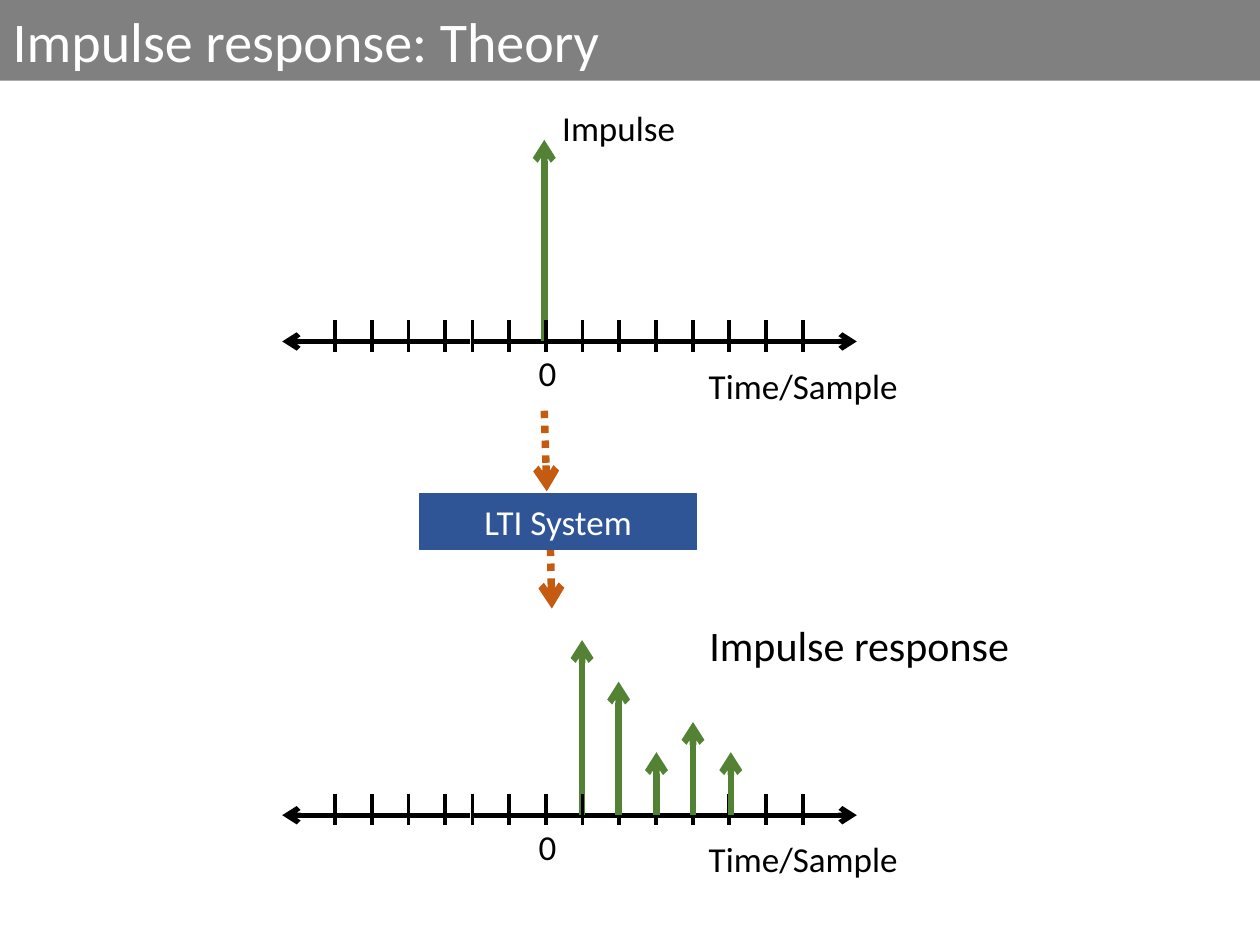
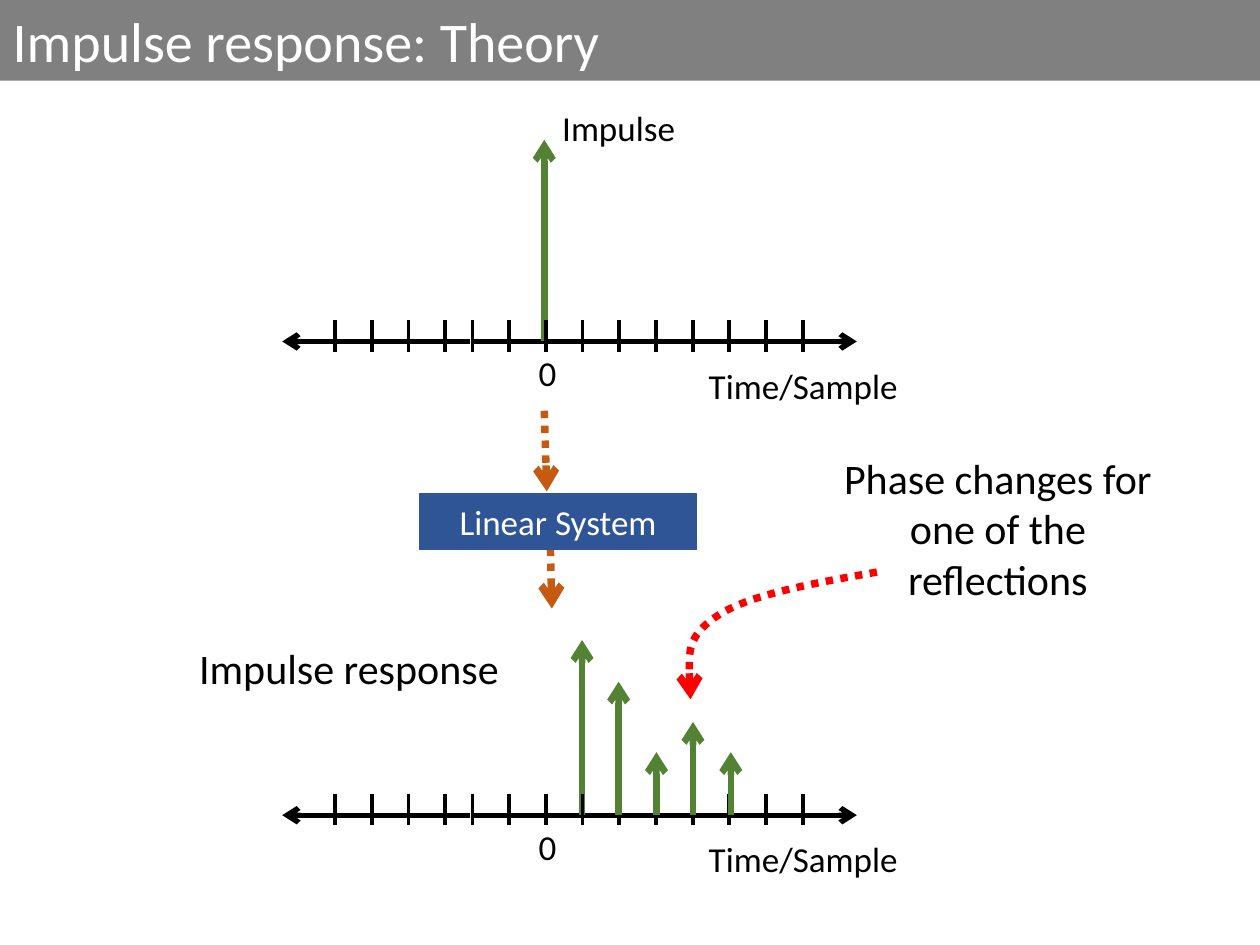
import pptx
import pptx.util
import pptx.dml.color
import pptx.enum.dml
import pptx.enum.shapes
import pptx.enum.text
import pptx.oxml.ns
import pptx.oxml.xmlchemy

RGB = pptx.dml.color.RGBColor
Inch = pptx.util.Inches
Pt = pptx.util.Pt
Align = pptx.enum.text.PP_ALIGN
Fit = pptx.enum.text.MSO_AUTO_SIZE
Mid = pptx.enum.text.MSO_ANCHOR.MIDDLE
qn = pptx.oxml.ns.qn
Node = pptx.oxml.xmlchemy.OxmlElement

BLACK = RGB(0, 0, 0)
WHITE = RGB(255, 255, 255)
GREY = RGB(0x80, 0x80, 0x80)
GREEN = RGB(0x54, 0x82, 0x35)
BLUE = RGB(0x2F, 0x55, 0x97)
RUST = RGB(0xC5, 0x5A, 0x11)
RED = RGB(255, 0, 0)
FONT = "Calibri"

WIDE, HIGH = 10, 7.5
BAND = (0, 0, WIDE, 0.64)
BOX = (3.33, 3.92, 2.2, 0.44)
TITLE = "Impulse response: Theory"
SPAN = 2.62
TICKS = [3.75 + SPAN * n / 9 for n in range(10)] + [2.66 + SPAN * n / 9 for n in range(4)]
ENDS = [(3.75, 6.8), (3.73, 2.24)]
AXES = [
    {"y": 2.71, "back": [(4.32, 1.6)], "front": []},
    {"y": 6.47, "back": [(4.62, 1.39)],
     "front": [(4.91, 1.06), (5.21, 0.5), (5.5, 0.74), (5.8, 0.5)]},
]
FLOW_OUT = (4.36, 4, 4.38, 4.83)
FLOW_IN = (4.32, 3.26, 4.34, 3.9)
CURVE = [(6.96, 4.54), (6.45, 4.63), (5.94, 4.72), (5.69, 4.89),
         (5.45, 5.05), (5.46, 5.3), (5.48, 5.55)]
SLIDES = [
    {"box": "LTI System",
     "notes": [("Impulse response", (5.5, 4.87, 2.64, 0.5))], "curve": []},
    {"box": "Linear System",
     "notes": [("Impulse response", (1.45, 5.05, 2.64, 0.5)),
               ("Phase changes for one of the reflections", (6.6, 3.54, 2.64, 1.31))],
     "curve": CURVE},
]


def put(obj, vals):
    for key, val in vals.items():
        setattr(obj, key, val)


def write(shape, text, size, color=BLACK, align=Align.CENTER, anchor=Mid):
    frame = shape.text_frame
    put(frame, {"text": text, "word_wrap": True, "auto_size": Fit.NONE,
                "vertical_anchor": anchor})
    para = frame.paragraphs[0]
    para.alignment = align
    put(para.runs[0].font, {"name": FONT, "size": Pt(size)})
    para.runs[0].font.color.rgb = color


def label(slide, text, spot, size=20):
    box = slide.shapes.add_textbox(*map(Inch, spot))
    write(box, text, size, anchor=pptx.enum.text.MSO_ANCHOR.TOP)


def stroke(shape, color, width, tip=False, dots=False):
    shape.line.color.rgb = color
    shape.line.width = Pt(width)
    if dots:
        shape.line.dash_style = pptx.enum.dml.MSO_LINE.ROUND_DOT
    if tip:
        tail = Node("a:tailEnd")
        tail.set("type", "arrow")
        shape._element.spPr.find(qn("a:ln")).append(tail)


def line(slide, ends, *look, **more):
    kind = pptx.enum.shapes.MSO_CONNECTOR.STRAIGHT
    link = slide.shapes.add_connector(kind, *map(Inch, ends))
    stroke(link, *look, **more)
    link._element.spPr.append(Node("a:effectLst"))


def stems(slide, y, items):
    for x, tall in items:
        line(slide, (x, y, x, y - tall), GREEN, 3.75, tip=True)


def axis(slide, y, back, front):
    for start, stop in ENDS:
        line(slide, (start, y, stop, y), BLACK, 3, tip=True)
    stems(slide, y, back)
    for x in TICKS:
        line(slide, (x, y - 0.17, x, y + 0.08), BLACK, 2.25)
    label(slide, "Time/Sample", (5.34, y + 0.13, 2.07, 0.44))
    label(slide, "0", (4.09, y + 0.03, 0.51, 0.44))
    stems(slide, y, front)


def bend(slide, points):
    spots = [(Inch(x), Inch(y)) for x, y in points]
    pen = slide.shapes.build_freeform(*spots[0])
    pen.add_line_segments(spots[1:], close=False)
    shape = pen.convert_to_shape()
    shape.shadow.inherit = False
    shape.fill.background()
    stroke(shape, RED, 4.25, tip=True, dots=True)
    parts = shape._element.findall(".//" + qn("a:lnTo"))
    for n in range(0, len(parts), 3):
        cubic = Node("a:cubicBezTo")
        parts[n].addprevious(cubic)
        for part in parts[n:n + 3]:
            cubic.append(part[0])
            part.getparent().remove(part)


def block(slide, text):
    kind = pptx.enum.shapes.MSO_SHAPE.RECTANGLE
    box = slide.shapes.add_shape(kind, *map(Inch, BOX))
    box.shadow.inherit = False
    box.fill.solid()
    box.fill.fore_color.rgb = BLUE
    stroke(box, BLUE, 0.75)
    write(box, text, 20, WHITE)


def head(slide):
    band = slide.shapes.title
    put(band, dict(zip(("left", "top", "width", "height"), map(Inch, BAND))))
    band.fill.solid()
    band.fill.fore_color.rgb = GREY
    write(band, TITLE, 32, WHITE, Align.LEFT)


def draw(deck, data):
    slide = deck.slides.add_slide(deck.slide_layouts[5])
    head(slide)
    label(slide, "Impulse", (4.22, 0.8, 1.38, 0.44))
    for item in AXES:
        axis(slide, **item)
    line(slide, FLOW_OUT, RUST, 4.25, tip=True, dots=True)
    block(slide, data["box"])
    line(slide, FLOW_IN, RUST, 4.25, tip=True, dots=True)
    for text, spot in data["notes"]:
        label(slide, text, spot, 24)
    if data["curve"]:
        bend(slide, data["curve"])


def main():
    deck = pptx.Presentation()
    put(deck, {"slide_width": Inch(WIDE), "slide_height": Inch(HIGH)})
    for data in SLIDES:
        draw(deck, data)
    deck.save("out.pptx")


if __name__ == "__main__":
    main()
